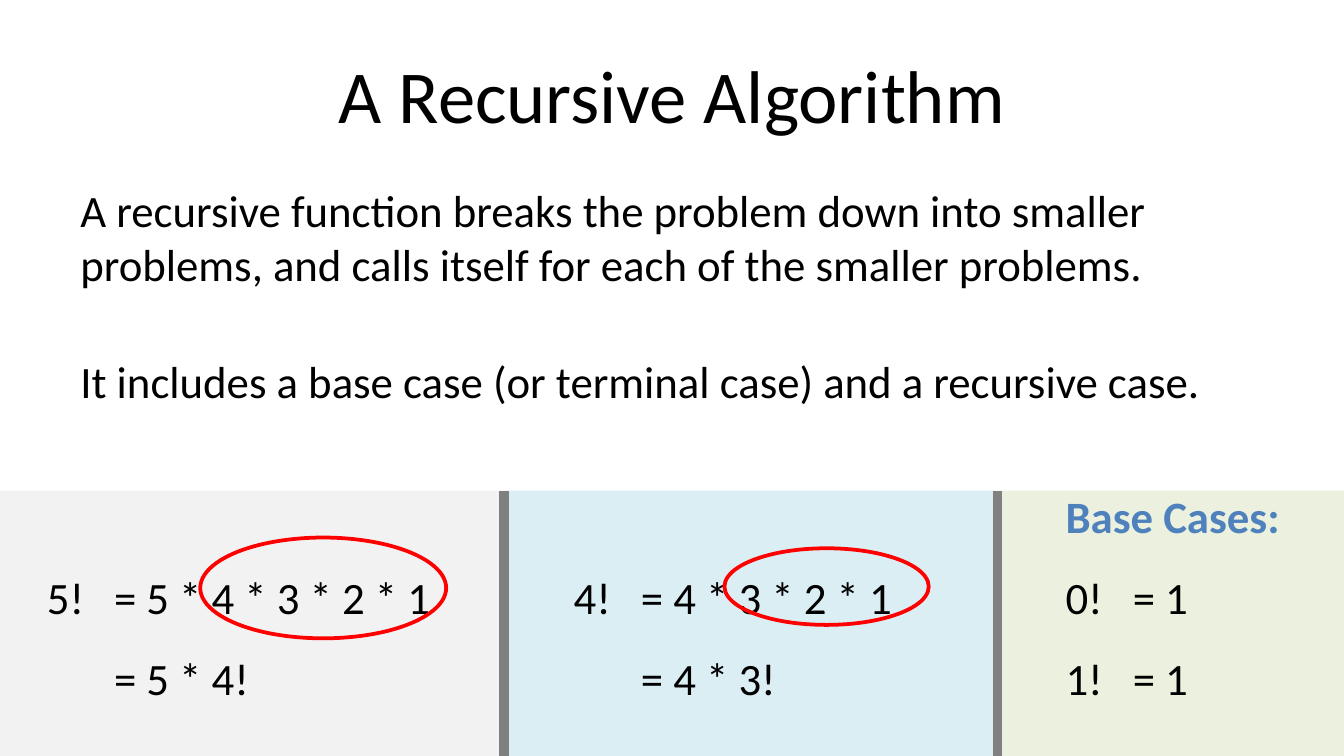
from pptx import Presentation
from pptx.dml.color import RGBColor
from pptx.enum.shapes import MSO_CONNECTOR, MSO_SHAPE
from pptx.enum.text import MSO_ANCHOR, PP_ALIGN
from pptx.oxml.ns import qn
from pptx.util import Inches, Pt
from lxml import etree

RECT, OVAL = MSO_SHAPE.RECTANGLE, MSO_SHAPE.OVAL
LINE = MSO_CONNECTOR.STRAIGHT
TOP, MIDDLE = MSO_ANCHOR.TOP, MSO_ANCHOR.MIDDLE
LEFT, CENTER = PP_ALIGN.LEFT, PP_ALIGN.CENTER
WIDE = 10
HIGH = WIDE * 9 / 16
COLORS = {"black": "000000", "blue": "4F81BD", "red": "FF0000", "gray": "808080",
          "pale": "F2F2F2", "aqua": "DBEEF4", "green": "EBF1DE"}


class Deck:
    """Holds the style and the current slide."""

    font = "Calibri"
    size = 24

    def __init__(self, slide):
        self.slide = slide

    def color(self, name):
        return RGBColor.from_string(COLORS[name])

    def panel(self, box, fill):
        shape = self.slide.shapes.add_shape(RECT, *map(Inches, box))
        shape.shadow.inherit = False
        shape.fill.solid()
        shape.fill.fore_color.rgb = self.color(fill)
        shape.line.fill.background()

    def ring(self, box):
        shape = self.slide.shapes.add_shape(OVAL, *map(Inches, box))
        shape.shadow.inherit = False
        shape.fill.background()
        shape.line.color.rgb = self.color("red")
        shape.line.width = Pt(2)

    def rule(self, x, top, end):
        line = self.slide.shapes.add_connector(
            LINE, Inches(x), Inches(end), Inches(x), Inches(top))
        line.line.color.rgb = self.color("gray")
        line.line.width = Pt(5)
        etree.SubElement(line._element.spPr, qn("a:effectLst"))

    def text(self, box, lines, size=size, align=LEFT, anchor=TOP, gap=0, space=1, tab=None, head=False):
        frame = self.slide.shapes.add_textbox(*map(Inches, box)).text_frame
        frame.word_wrap = True
        frame.vertical_anchor = anchor
        for i, line in enumerate(lines):
            para = frame.paragraphs[0] if i == 0 else frame.add_paragraph()
            if tab:
                tabs = etree.SubElement(para._p.get_or_add_pPr(), qn("a:tabLst"))
                etree.SubElement(tabs, qn("a:tab"), pos=str(Inches(tab)), algn="l")
            para.alignment = align
            para.line_spacing = space
            if i and gap:
                para.space_before = Pt(gap)
            run = para.add_run()
            run.text = line
            bold = head and i == 0
            run.font.name = self.font
            run.font.size = Pt(size)
            run.font.bold = bold
            run.font.color.rgb = self.color("blue" if bold else "black")

    def sums(self, box, lines, head=False):
        self.text(box, lines, space=1.5, tab=0.5, head=head)


def main():
    show = Presentation()
    show.slide_width, show.slide_height = Inches(WIDE), Inches(HIGH)
    deck = Deck(show.slides.add_slide(show.slide_layouts[6]))

    top = 3.65
    edges = [0, 3.75, 7.42, WIDE]
    for left, right, fill in zip(edges, edges[1:], ("pale", "aqua", "green")):
        deck.panel((left, top, right - left, HIGH - top), fill)

    deck.text((0.5, 0.23, 9, 0.94), ["A Recursive Algorithm"],
              size=40, align=CENTER, anchor=MIDDLE)
    deck.text((0.5, 1.31, 9, 2.17), [
        "A recursive function breaks the problem down into smaller problems, "
        "and calls itself for each of the smaller problems.",
        "It includes a base case (or terminal case) and a recursive case.",
    ], gap=34)

    deck.sums((0.25, 3.99, 3.08, 1.25), ["5!\t= 5 * 4 * 3 * 2 * 1", "\t= 5 * 4!"])
    deck.sums((4.17, 3.99, 2.59, 1.31), ["4!\t= 4 * 3 * 2 * 1", "\t= 4 * 3!"])
    deck.ring((1.49, 4, 1.83, 0.75))
    deck.ring((5.39, 4.08, 1.52, 0.57))
    for x in edges[1:-1]:
        deck.rule(x, top, HIGH)
    deck.sums((7.83, 3.39, 1.82, 1.92), ["Base Cases:", "0!\t= 1", "1!\t= 1"], head=True)

    show.save("out.pptx")


if __name__ == "__main__":
    main()
